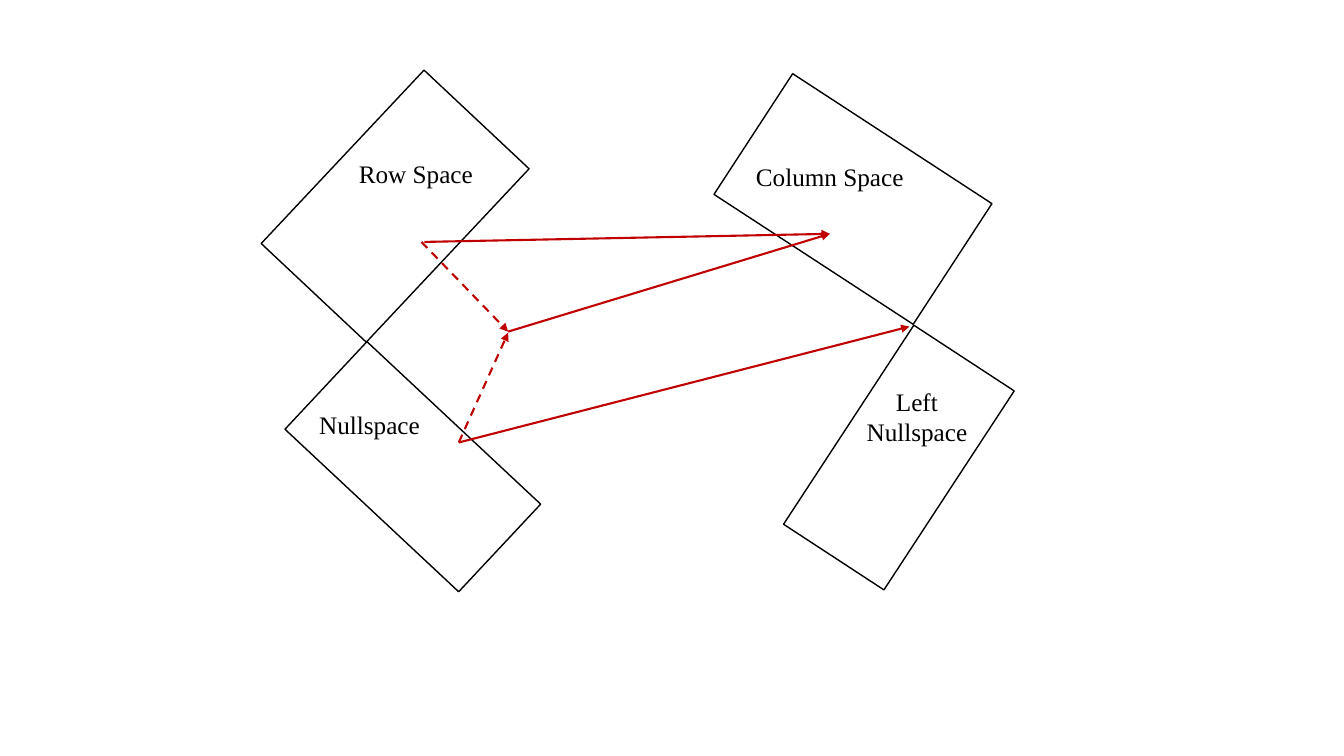
from lxml.etree import SubElement
from pptx import Presentation
from pptx.dml.color import RGBColor
from pptx.enum.dml import MSO_LINE
from pptx.enum.shapes import MSO_CONNECTOR, MSO_SHAPE
from pptx.enum.text import MSO_AUTO_SIZE, PP_ALIGN
from pptx.oxml.ns import qn
from pptx.util import Inches, Pt

COLORS = {"ink": "000000", "arrow": "C00000"}
FONT = "Times New Roman"
LARGE = (2.36, 1.43)
SMALL = (1.19, 2.36)

# Each subspace: rectangle offset, size, rotation, label offset, label size, lines
DOMAIN = [
    ((0.14, 0.63), LARGE, 313.2, (0.8, 0.82), (1.45, 0.4), ["Row Space"]),
    ((0.9, 2.75), SMALL, 313.1, (0.34, 3.31), (1.45, 0.4), ["Nullspace"]),
]
CODOMAIN = [
    ((0.18, 0.56), LARGE, 33.1, (0.25, 0.85), (1.76, 0.4), ["Column Space"]),
    ((1.22, 2.66), SMALL, 33.2, (1.03, 3.08), (1.93, 0.71), ["Left", "Nullspace"]),
]

ROW_POINT = (4.18, 2.4)
NULL_POINT = (4.55, 4.39)
SUM_POINT = (5.04, 3.29)
IMAGE_POINT = (8.23, 2.32)
ZERO_POINT = (9.02, 3.24)
ARROWS = [
    (SUM_POINT, IMAGE_POINT, False),
    ((4.21, 2.4), IMAGE_POINT, False),
    (ROW_POINT, SUM_POINT, True),
    (NULL_POINT, (5.04, 3.3), True),
    (NULL_POINT, ZERO_POINT, False),
]


def color(name):
    return RGBColor.from_string(COLORS[name])


def place(origin, offset, size):
    """Return left, top, width and height of a part within a region."""
    return [Inches(value) for value in
            (origin[0] + offset[0], origin[1] + offset[1], *size)]


def add_rectangle(shapes, box, rotation):
    rectangle = shapes.add_shape(MSO_SHAPE.RECTANGLE, *box)
    rectangle.rotation = rotation
    rectangle.shadow.inherit = False
    rectangle.fill.background()
    rectangle.line.color.rgb = color("ink")
    rectangle.line.width = Pt(1)


def add_label(shapes, box, lines):
    frame = shapes.add_textbox(*box).text_frame
    frame.word_wrap = True
    frame.auto_size = MSO_AUTO_SIZE.SHAPE_TO_FIT_TEXT
    for index, line in enumerate(lines):
        paragraph = frame.add_paragraph() if index else frame.paragraphs[0]
        paragraph.alignment = PP_ALIGN.CENTER
        run = paragraph.add_run()
        run.text = line
        run.font.name = FONT
        run.font.size = Pt(18)
        run.font.color.rgb = color("ink")


def add_subspaces(shapes, origin, subspaces):
    """Draw a pair of orthogonal subspaces from the region's top left corner."""
    for offset, size, rotation, *_ in subspaces:
        add_rectangle(shapes, place(origin, offset, size), rotation)
    for *_, offset, size, lines in subspaces:
        add_label(shapes, place(origin, offset, size), lines)


def add_arrow(shapes, start, end, dashed):
    arrow = shapes.add_connector(
        MSO_CONNECTOR.STRAIGHT, *(Inches(value) for value in (*start, *end)))
    arrow.line.color.rgb = color("arrow")
    arrow.line.width = Pt(1.5)
    if dashed:
        arrow.line.dash_style = MSO_LINE.DASH
    SubElement(arrow.line._get_or_add_ln(), qn("a:tailEnd"), type="triangle")
    SubElement(arrow._element.spPr, qn("a:effectLst"))


def main():
    presentation = Presentation()
    presentation.slide_width = Inches(13.33)
    presentation.slide_height = Inches(7.5)
    slide = presentation.slides.add_slide(presentation.slide_layouts[6])
    shapes = slide.shapes.add_group_shape().shapes
    add_subspaces(shapes, (2.6, 0.7), DOMAIN)
    add_subspaces(shapes, (7.1, 0.7), CODOMAIN)
    for start, end, dashed in ARROWS:
        add_arrow(shapes, start, end, dashed)
    presentation.save("out.pptx")


if __name__ == "__main__":
    main()
